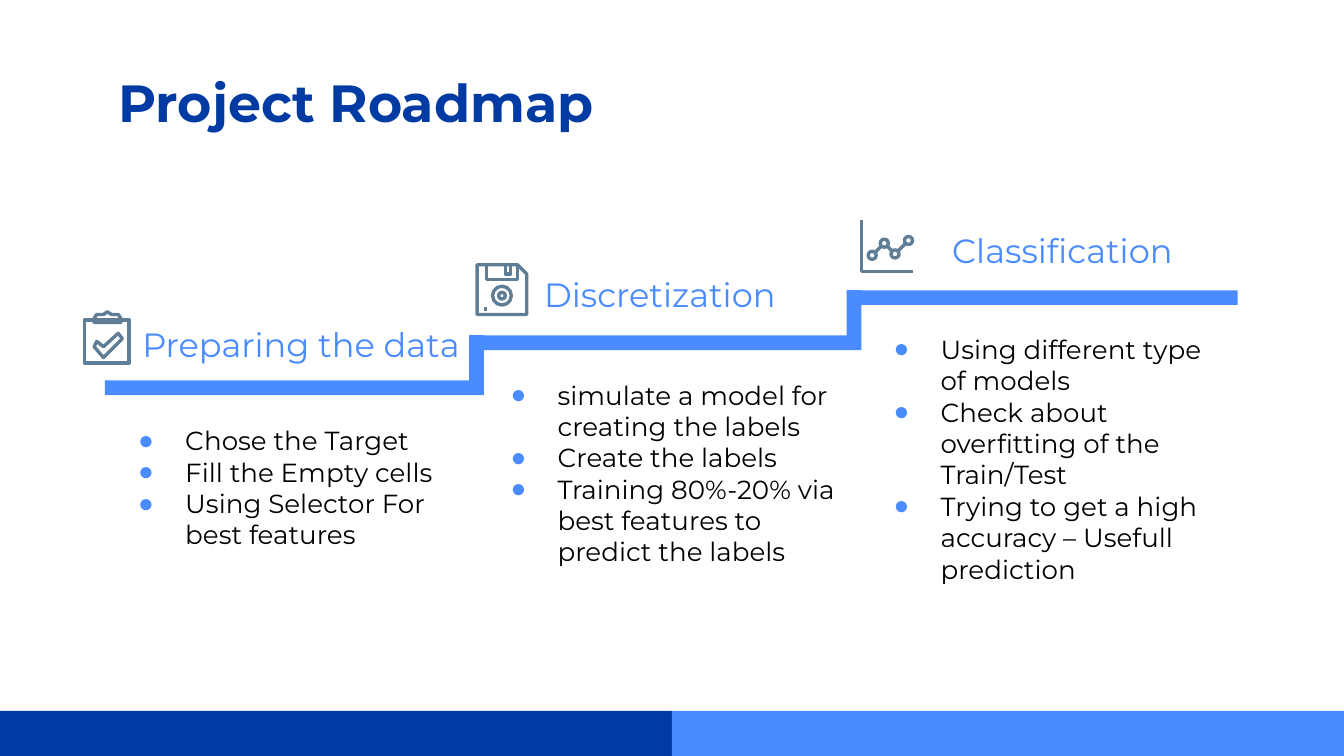
from lxml.etree import SubElement
from pptx import Presentation
from pptx.dml.color import RGBColor
from pptx.enum.shapes import MSO_SHAPE as Shape
from pptx.enum.text import MSO_ANCHOR as Anchor, PP_ALIGN as Align
from pptx.oxml.ns import qn
from pptx.util import Inches, Pt

NAVY = RGBColor(0x00, 0x3B, 0xA3)
BLUE = RGBColor(0x4A, 0x8C, 0xFF)
SLATE = RGBColor(0x5F, 0x7D, 0x95)
BLACK = RGBColor(0, 0, 0)
FONT = "Montserrat"
BULLET_FONT = "Arial"

TITLE = "Project Roadmap"
STEPS = [
    {"heading": "Preparing the data", "align": Align.RIGHT,
     "heading_box": (0.45, 2.31, 3.07, 0.45), "tasks_box": (0.78, 3.06, 2.81, 1.57),
     "tasks": ["Chose the Target", "Fill the Empty cells",
               "Using Selector For best features"]},
    {"heading": "Discretization", "align": Align.LEFT,
     "heading_box": (3.95, 1.94, 2.02, 0.45), "tasks_box": (3.55, 2.72, 2.81, 1.57),
     "tasks": ["simulate a model for creating the labels", "Create the labels",
               "Training 80%-20% via best features to predict the labels"]},
    {"heading": "Classification", "align": Align.CENTER,
     "heading_box": (6.96, 1.61, 1.89, 0.45), "tasks_box": (6.4, 2.38, 2.81, 1.83),
     "tasks": ["Using different type of models",
               "Check about overfitting of the Train/Test",
               "Trying to get a high accuracy – Usefull prediction"]},
]

ICON_UNIT = Inches(0.01)
CLIPBOARD = {
    "origin": (62, 231),
    "closed": [
        [(1, 6.5), (34, 6.5), (34, 39.5), (1, 39.5)],
        [(8, 9), (8, 6), (10, 3.5), (15, 3.5), (18, 1),
         (21, 3.5), (26, 3.5), (28.5, 6), (28.5, 9)],
        [(10, 23), (15, 27.5), (26, 17.5), (29, 20.5), (15, 34.5), (8, 27.5)],
    ],
    "open": [],
    "rings": [],
}
DISK = {
    "origin": (354, 196),
    "closed": [[(1, 1), (31, 1), (38, 8), (38, 38), (1, 38)]],
    "open": [
        [(8, 1), (8, 12.5), (31, 12.5), (31, 1)],
        [(22, 1), (22, 8), (26, 8), (26, 1)],
        [(6, 33.5), (8, 33.5)],
    ],
    "rings": [(19.5, 24, 7), (19.5, 24, 2.5)],
}
LINE_CHART = {
    "origin": (640, 163),
    "closed": [],
    "open": [
        [(1, 1), (1, 39), (39, 39)],
        [(11, 25), (16, 20)],
        [(20, 20), (24, 24)],
        [(28, 24), (34, 18)],
    ],
    "rings": [(9, 27, 3), (18, 18, 3), (26, 26, 3), (36, 16, 3)],
}

STEP_LEFT, STEP_WIDTH, STEP_THICK = 0.78, 2.81, 0.11
FIRST_TOP, LAST_TOP = 2.83, 2.16
STEP_RISE = (FIRST_TOP - LAST_TOP) / (len(STEPS) - 1)
RISER_OFFSET = 0.1
FOOTER_TOP, FOOTER_HEIGHT = 5.29, 0.34


def add_bar(slide, left, top, width, height, color):
    bar = slide.shapes.add_shape(Shape.RECTANGLE, *map(Inches, (left, top, width, height)))
    bar.shadow.inherit = False
    bar.fill.solid()
    bar.fill.fore_color.rgb = color
    bar.line.fill.background()


def fill_text(frame, lines, size, color, align=Align.LEFT, bold=False):
    frame.word_wrap = True
    frame.vertical_anchor = Anchor.TOP
    frame.margin_left = frame.margin_right = Inches(0.1)
    frame.margin_top = frame.margin_bottom = Inches(0.1)
    frame.text = "\n".join(lines)
    for paragraph in frame.paragraphs:
        paragraph.alignment = align
        font = paragraph.runs[0].font
        font.name, font.size, font.bold = FONT, Pt(size), bold
        font.color.rgb = color


def add_text(slide, box, lines, size, color, align=Align.LEFT):
    frame = slide.shapes.add_textbox(*map(Inches, box)).text_frame
    fill_text(frame, lines, size, color, align)
    return frame


def add_bullets(frame):
    for paragraph in frame.paragraphs:
        props = paragraph._p.get_or_add_pPr()
        props.set("marL", str(Inches(0.5)))
        props.set("indent", str(Inches(-0.35)))
        bullet_color = SubElement(props, qn("a:buClr"))
        SubElement(bullet_color, qn("a:srgbClr")).set("val", str(BLUE))
        SubElement(props, qn("a:buFont")).set("typeface", BULLET_FONT)
        SubElement(props, qn("a:buChar")).set("char", "●")


def add_icon(slide, icon):
    group = slide.shapes.add_group_shape()
    left, top = icon["origin"]
    parts = []
    for kind in ("closed", "open"):
        for points in icon[kind]:
            start, *rest = [(left + x, top + y) for x, y in points]
            outline = group.shapes.build_freeform(*start, scale=ICON_UNIT)
            outline.add_line_segments(rest, close=kind == "closed")
            parts.append(outline.convert_to_shape())
    for x, y, radius in icon["rings"]:
        box = (left + x - radius, top + y - radius, 2 * radius, 2 * radius)
        parts.append(group.shapes.add_shape(
            Shape.OVAL, *[int(value * ICON_UNIT) for value in box]))
    for part in parts:
        part.shadow.inherit = False
        part.fill.background()
        part.line.color.rgb = SLATE
        part.line.width = Pt(1.8)


def main():
    deck = Presentation()
    deck.slide_width = Inches(10)
    deck.slide_height = deck.slide_width * 9 // 16
    slide = deck.slides.add_slide(deck.slide_layouts[5])

    title = slide.shapes.title
    title.left, title.top, title.width, title.height = map(Inches, (0.78, 0.42, 8.43, 1.02))
    fill_text(title.text_frame, [TITLE], 28, NAVY, bold=True)

    for index, step in enumerate(STEPS):
        left = STEP_LEFT + index * STEP_WIDTH
        top = FIRST_TOP - index * STEP_RISE
        add_bar(slide, left, top, STEP_WIDTH, STEP_THICK, BLUE)
        if index:
            add_bar(slide, left - RISER_OFFSET, top, STEP_THICK, STEP_RISE + STEP_THICK, BLUE)
        heading = add_text(slide, step["heading_box"], [step["heading"]], 18, BLUE, step["align"])
        heading.paragraphs[0].space_after = Pt(16)
        add_bullets(add_text(slide, step["tasks_box"], step["tasks"], 14, BLACK))

    for index, color in enumerate((NAVY, BLUE)):
        add_bar(slide, index * 5, FOOTER_TOP, 5, FOOTER_HEIGHT, color)

    for icon in (CLIPBOARD, DISK, LINE_CHART):
        add_icon(slide, icon)

    deck.save("out.pptx")


if __name__ == "__main__":
    main()
